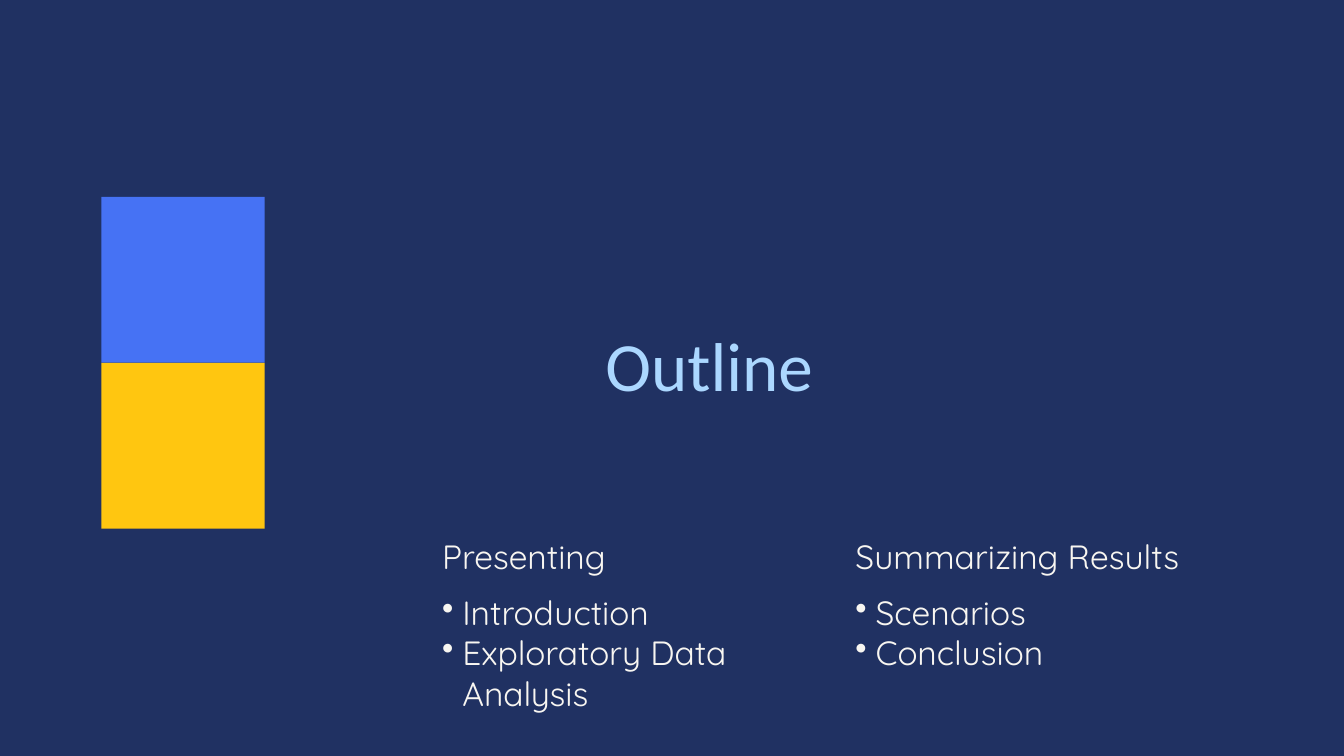
import pptx
import pptx.dml.color
import pptx.enum.shapes
import pptx.enum.text
import pptx.util
from lxml import etree
from pptx.oxml.ns import qn

COLORS = {
    "night": "203162",
    "blue": "4672F4",
    "yellow": "FFC610",
    "sky": "ABD7FF",
    "cream": "F8F6F1",
}
TITLE_ONLY = 5
BULLET_INDENT = pptx.util.Inches(0.3)


def rgb(name):
    return pptx.dml.color.RGBColor.from_string(COLORS[name])


class OutlineSlide:
    """Draws on one slide; lengths are percentages of its width and height."""

    def __init__(self, deck):
        self.width, self.height = deck.slide_width, deck.slide_height
        self.slide = deck.slides.add_slide(deck.slide_layouts[TITLE_ONLY])
        background = self.slide.background.fill
        background.solid()
        background.fore_color.rgb = rgb("night")

    def area(self, left, top, width, height):
        return (
            round(self.width * left / 100),
            round(self.height * top / 100),
            round(self.width * width / 100),
            round(self.height * height / 100),
        )

    def swatch(self, color, *area):
        square = self.slide.shapes.add_shape(
            pptx.enum.shapes.MSO_SHAPE.RECTANGLE, *self.area(*area))
        square.shadow.inherit = False
        square.fill.solid()
        square.fill.fore_color.rgb = rgb(color)
        square.line.fill.background()

    def fill_frame(self, frame, lines, font, size, color, bulleted=False):
        frame.word_wrap = True
        frame.auto_size = pptx.enum.text.MSO_AUTO_SIZE.NONE
        frame.vertical_anchor = pptx.enum.text.MSO_ANCHOR.TOP
        frame.margin_left = frame.margin_right = 0
        frame.margin_top = frame.margin_bottom = 0
        for index, line in enumerate(lines):
            paragraph = frame.add_paragraph() if index else frame.paragraphs[0]
            if bulleted:
                self.bullet(paragraph)
            paragraph.alignment = pptx.enum.text.PP_ALIGN.LEFT
            paragraph.line_spacing = pptx.util.Pt(size * 1.2)
            run = paragraph.add_run()
            run.text = line
            run.font.name = font
            run.font.size = pptx.util.Pt(size)
            run.font.color.rgb = rgb(color)

    def bullet(self, paragraph):
        properties = paragraph._p.get_or_add_pPr()
        properties.set("marL", str(BULLET_INDENT))
        properties.set("indent", str(-BULLET_INDENT))
        etree.SubElement(properties, qn("a:buChar"), char="•")

    def title(self, text, *area):
        heading = self.slide.shapes.title
        heading.left, heading.top, heading.width, heading.height = self.area(*area)
        self.fill_frame(heading.text_frame, [text], "Calibri", 74, "sky")

    def text(self, lines, *area, bulleted=False):
        box = self.slide.shapes.add_textbox(*self.area(*area))
        self.fill_frame(box.text_frame, lines, "Quicksand", 36, "cream", bulleted)


def main():
    deck = pptx.Presentation()
    deck.slide_width = pptx.util.Inches(20)
    deck.slide_height = pptx.util.Inches(11.25)
    outline = OutlineSlide(deck)

    swatch_height = 21.95
    for row, color in enumerate(("blue", "yellow")):
        outline.swatch(color, 7.55, 26.04 + row * swatch_height, 12.15, swatch_height)

    outline.title("Outline", 45.05, 42.67, 41.65, 12.98)

    sections = [
        (32.9, "Presenting", ["Introduction", "Exploratory Data Analysis"]),
        (63.65, "Summarizing Results", ["Scenarios", "Conclusion"]),
    ]
    for left, heading, topics in sections:
        outline.text([heading], left, 70.93, 29, 5.16)
        outline.text(topics, left, 78.31, 23.2, 15.73, bulleted=True)

    deck.save("out.pptx")


if __name__ == "__main__":
    main()
